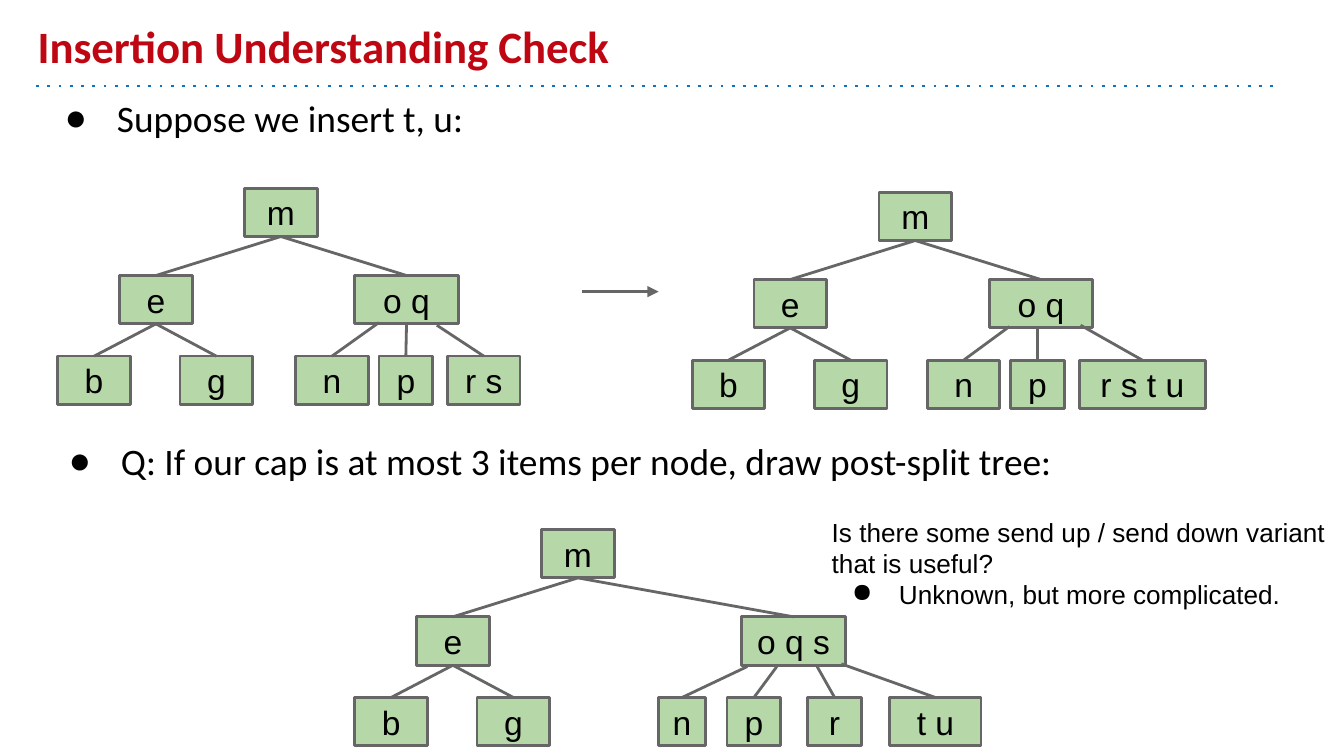
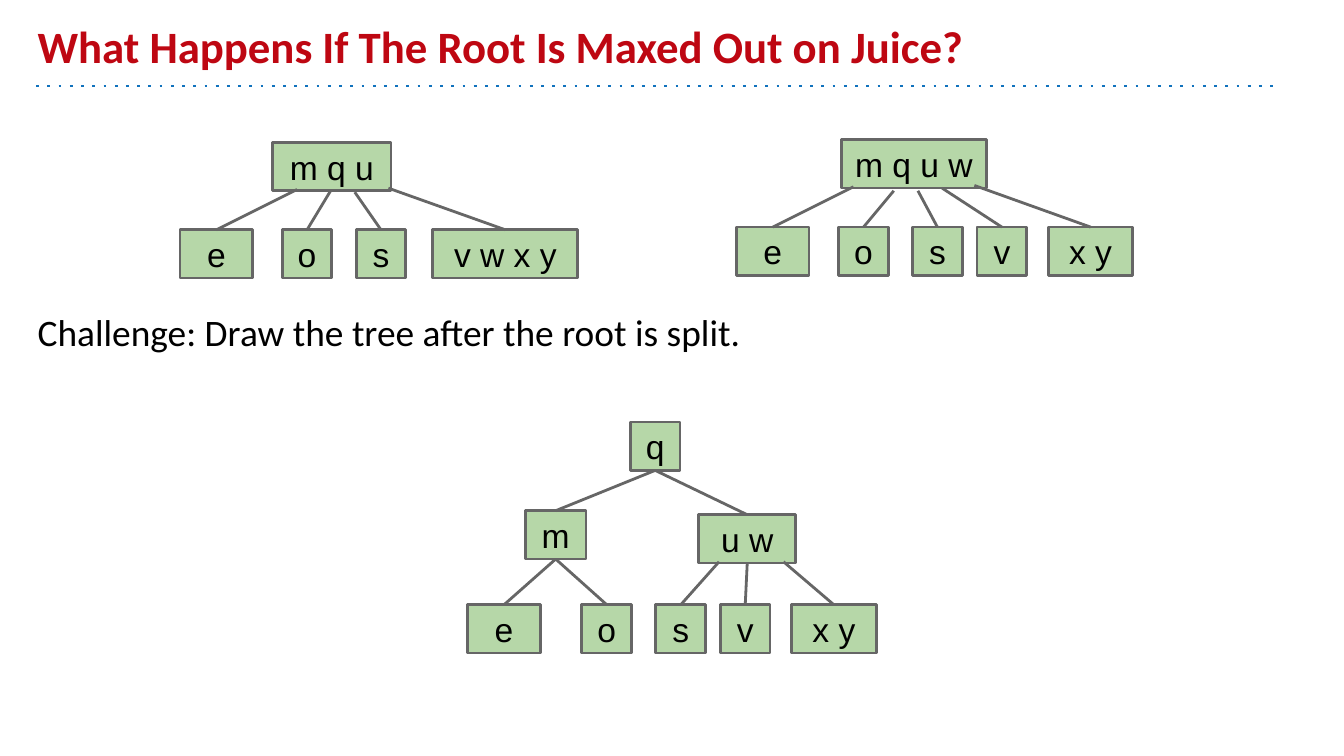
from lxml import etree
from pptx import Presentation
from pptx import util as u
from pptx.dml.color import RGBColor
from pptx.enum import shapes, text
from pptx.oxml.ns import qn

PX = 9144
RED, BLUE, GREEN, GREY, BLACK = "BE0712", "1072BD", "B6D7A8", "666666", "000000"
LEFT, MID = text.PP_ALIGN.LEFT, text.PP_ALIGN.CENTER
hue = RGBColor.from_string


def write(box, rows, size, face, tone=BLACK, bold=False, align=LEFT, wrap=True, anchor=text.MSO_ANCHOR.TOP):
    frame = box.text_frame
    frame.auto_size = text.MSO_AUTO_SIZE.NONE
    frame.word_wrap = wrap
    frame.vertical_anchor = anchor
    frame.margin_left = frame.margin_right = frame.margin_top = frame.margin_bottom = 10 * PX
    for i, (words, hang) in enumerate(rows):
        par = frame.paragraphs[0] if i == 0 else frame.add_paragraph()
        par.alignment = align
        par.space_before = u.Pt(0)
        prop = par._p.get_or_add_pPr()
        prop.set("marL", str(50 * PX if hang else 0))
        prop.set("indent", str(-hang * PX))
        if hang:
            tint = etree.SubElement(prop, qn("a:buClr"))
            etree.SubElement(tint, qn("a:srgbClr")).set("val", BLACK)
            etree.SubElement(prop, qn("a:buSzPts")).set("val", str(size * 100))
            etree.SubElement(prop, qn("a:buChar")).set("char", "●")
        else:
            etree.SubElement(prop, qn("a:buNone"))
        run = par.add_run()
        run.text = words
        run.font.size = u.Pt(size)
        run.font.name = face
        run.font.bold = bold
        run.font.color.rgb = hue(tone)


def link(host, x1, y1, x2, y2, tone=GREY):
    ends = [n * PX for n in (x1, y1, x2, y2)]
    line = host.shapes.add_connector(shapes.MSO_CONNECTOR.STRAIGHT, *ends)
    line.line.color.rgb = hue(tone)
    line.line.width = u.Pt(1.5)
    etree.SubElement(line._element.spPr, qn("a:effectLst"))
    return line


west = [("m", 0, 0, 54, None, None), ("e", -93, 65, 54, "m", None),
        ("b", -139, 125, 54, "e", None), ("g", -48, 125, 54, "e", None)]

decks = [
    {
        "title": "Insertion Understanding Check",
        "layout": 3,
        "body": [("Suppose we insert t, u:", 39, (27, 61, 941, 66)),
                 ("Q: If our cap is at most 3 items per node, draw post-split tree:", 39,
                  (30, 316, 941, 66))],
        "trees": [
            (182, 140, False, west + [
                ("o q", 82, 65, 77, "m", None),
                ("n", 38, 125, 54, "o q", (100, 100)),
                ("p", 100, 125, 40, "o q", None),
                ("r s", 151, 125, 54, "o q", (143, 102))]),
            (654, 143, False, west + [
                ("o q", 82, 65, 77, "m", None),
                ("n", 36, 125, 54, "o q", (97, 100)),
                ("p", 98, 125, 40, "o q", (118, 101)),
                ("r s t u", 149, 125, 94, "o q", (150, 99))]),
            (403, 394, True, west + [
                ("o q s", 149, 65, 77, "m", None),
                ("n", 87, 125, 35, "o q s", (153, 102)),
                ("p", 138, 125, 40, "o q s", (175, 102)),
                ("r", 198, 125, 40, "o q s", (205, 102)),
                ("t u", 259, 125, 68, "o q s", (223, 100))]),
        ],
    },
    {
        "title": "What Happens If The Root Is Maxed Out on Juice?",
        "layout": 1,
        "body": [("Challenge: Draw the tree after the root is split.", 0, (18, 220, 923, 54))],
        "trees": [
            (203, 106, False, [
                ("m q u", 0, 0, 88, None, None),
                ("e", -69, 65, 54, "m q u", (18, 35)),
                ("o", 7, 65, 37, "m q u", (43, 36)),
                ("s", 62, 65, 37, "m q u", (61, 37)),
                ("v w x y", 119, 65, 108, "m q u", (86, 34))]),
            (626, 104, False, [
                ("m q u w", 0, 0, 108, None, None),
                ("e", -78, 65, 54, "m q u w", (9, 35)),
                ("o", -2, 65, 37, "m q u w", (39, 38)),
                ("s", 53, 65, 37, "m q u w", (57, 38)),
                ("v", 101, 65, 37, "m q u w", (75, 36)),
                ("x y", 154, 65, 63, "m q u w", (99, 34))]),
            (469, 314, False, [
                ("q", 0, 0, 37, None, None),
                ("m", -78, 66, 45, "q", None),
                ("u w", 51, 69, 72, "q", None),
                ("e", -121, 136, 54, "m", None),
                ("o", -36, 136, 37, "m", None),
                ("s", 19, 136, 37, "u w", (66, 104)),
                ("v", 67, 136, 37, "u w", None),
                ("x y", 120, 136, 63, "u w", (114, 104))]),
        ],
    },
]

prs = Presentation()
prs.slide_width, prs.slide_height = u.Inches(10), u.Inches(5.625)

pages = []
for deck in decks:
    page = prs.slides.add_slide(prs.slide_layouts[deck["layout"]])
    pages.append(page)
    head, *lists = page.placeholders
    head.left, head.top, head.width, head.height = [n * PX for n in (18, 10, 900, 54)]
    write(head, [(deck["title"], 0)], 24, "Calibri", RED, True, anchor=text.MSO_ANCHOR.BOTTOM)
    for box, (words, hang, place) in zip(lists, deck["body"]):
        box.left, box.top, box.width, box.height = [n * PX for n in place]
        write(box, [(words, hang)], 20, "Calibri")

    for left, top, group, nodes in deck["trees"]:
        host = page.shapes.add_group_shape() if group else page
        made = {}
        for name, x, y, wide, root, start in nodes:
            box = host.shapes.add_shape(shapes.MSO_SHAPE.RECTANGLE, (left + x) * PX,
                                        (top + y) * PX, wide * PX, 36 * PX)
            box.shadow.inherit = False
            box.fill.solid()
            box.fill.fore_color.rgb = hue(GREEN)
            box.line.color.rgb = hue(GREY)
            box.line.width = u.Pt(1.5)
            write(box, [(name, 0)], 18, "Arial", align=MID, wrap=False, anchor=text.MSO_ANCHOR.MIDDLE)
            made[name] = box
            if root:
                sx, sy = start or (0, 0)
                edge = link(host, left + sx, top + sy, left + x, top + y)
                if not start:
                    edge.begin_connect(made[root], 2)
                edge.end_connect(box, 0)

first = pages[0]
arrow = link(first, 433, 217, 490, 217)
etree.SubElement(arrow.line._get_or_add_ln(), qn("a:tailEnd")).set("type", "triangle")
note = first.shapes.add_textbox(609 * PX, 374 * PX, 388 * PX, 57 * PX)
write(note, [("Is there some send up / send down variant that is useful?", 0),
             ("Unknown, but more complicated.", 35)], 14, "Arial")

rule = link(first, 27, 64, 950, 64, BLUE)
etree.SubElement(rule.line._get_or_add_ln(), qn("a:prstDash")).set("val", "dot")
prs.slide_master.shapes.element.append(rule._element)

prs.save("out.pptx")
